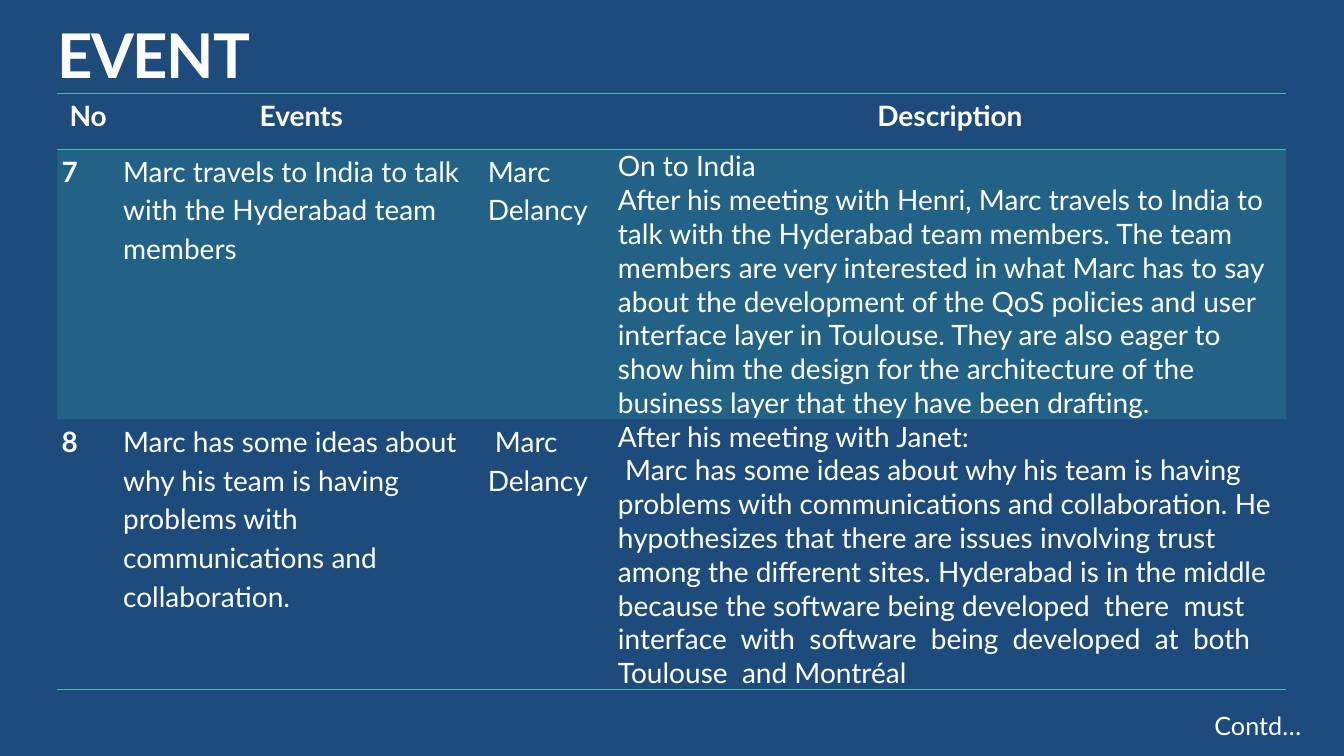
import pptx
import pptx.dml.color
import pptx.enum.text
import pptx.oxml.ns
import pptx.util
from lxml import etree

Pt = pptx.util.Pt
qn = pptx.oxml.ns.qn
ALIGN = pptx.enum.text.PP_ALIGN
ANCHOR = pptx.enum.text.MSO_ANCHOR
AUTO_SIZE = pptx.enum.text.MSO_AUTO_SIZE

COLORS = {"background": "1D4C7C", "text": "FFFFFF", "accent": "3BBEB4"}
CELL_FORMAT = {"margin_left": Pt(3), "margin_right": Pt(3), "margin_top": 0, "margin_bottom": 0}
SPACED = {"line_spacing": 1.15, "space_after": Pt(10)}
COMPACT = {"line_spacing": 1.0, "space_after": Pt(0)}

COLUMN_WIDTHS = [44, 260.5, 93, 480.25]
ROW_HEIGHTS = [39.6, 193, 193]
ROW_RULES = ["TB", "T", "B"]
EVENTS = [
    [["No"], ["Events"], [], ["Description"]],
    [
        ["7"],
        ["Marc travels to India to talk with the Hyderabad team members"],
        ["Marc Delancy"],
        [
            "On to India",
            "After his meeting with Henri, Marc travels to India to talk with the Hyderabad team "
            "members. The team members are very interested in what Marc has to say about the "
            "development of the QoS policies and user interface layer in Toulouse. They are also "
            "eager to show him the design for the architecture of the business layer that they "
            "have been drafting.",
        ],
    ],
    [
        ["8"],
        ["Marc has some ideas about why his team is having problems with communications "
         "and collaboration."],
        [" Marc Delancy"],
        [
            "After his meeting with Janet:",
            " Marc has some ideas about why his team is having problems with communications and "
            "collaboration. He hypothesizes that there are issues involving trust among the "
            "different sites. Hyderabad is in the middle because the software being developed  "
            "there  must  interface  with  software  being  developed  at  both  Toulouse  and "
            "Montréal",
        ],
    ],
]


def apply_format(target, values):
    for name, value in values.items():
        setattr(target, name, value)


def color(name):
    return pptx.dml.color.RGBColor.from_string(COLORS[name])


class SlideBuilder:
    """Holds the font and the slide being filled."""

    font_name = "Lato"

    def __init__(self, presentation):
        self.slide = presentation.slides.add_slide(presentation.slide_layouts[5])
        fill = self.slide.background.fill
        fill.solid()
        fill.fore_color.rgb = color("background")

    def add_text(self, text_frame, texts, size, bold=False, **paragraph_format):
        for index, text in enumerate(texts):
            paragraph = text_frame.paragraphs[0] if index == 0 else text_frame.add_paragraph()
            apply_format(paragraph, paragraph_format)
            run = paragraph.add_run()
            run.text = text
            apply_format(run.font, {"name": self.font_name, "size": Pt(size), "bold": bold})
            run.font.color.rgb = color("text")

    def title(self, text, left, top, width, height):
        shape = self.slide.shapes.title
        apply_format(shape, {"left": Pt(left), "top": Pt(top),
                             "width": Pt(width), "height": Pt(height)})
        frame = shape.text_frame
        apply_format(frame, {"margin_left": 0, "margin_right": 0, "margin_top": 0,
                             "margin_bottom": 0, "vertical_anchor": ANCHOR.TOP,
                             "auto_size": AUTO_SIZE.NONE})
        self.add_text(frame, [text], 44, True, alignment=ALIGN.LEFT, line_spacing=0.9)
        frame.paragraphs[0].runs[0]._r.get_or_add_rPr().set("spc", "-100")

    def label(self, text, left, top, width, height):
        shape = self.slide.shapes.add_textbox(Pt(left), Pt(top), Pt(width), Pt(height))
        apply_format(shape.text_frame,
                     {"word_wrap": False, "auto_size": AUTO_SIZE.SHAPE_TO_FIT_TEXT})
        self.add_text(shape.text_frame, [text], 18)

    def borders(self, cell, ruled_sides):
        """Draw an accent rule on the given sides (T, B) and clear the others."""
        properties = cell._tc.get_or_add_tcPr()
        for side in "LRTB":
            line = etree.SubElement(properties, qn(f"a:ln{side}"))
            if side in ruled_sides:
                line.set("w", str(Pt(1)))
                fill = etree.SubElement(line, qn("a:solidFill"))
                etree.SubElement(fill, qn("a:srgbClr"), val=COLORS["accent"])
            else:
                etree.SubElement(line, qn("a:noFill"))

    def shade(self, cell, tinted):
        if not tinted:
            cell.fill.background()
            return
        cell.fill.solid()
        cell.fill.fore_color.rgb = color("accent")
        tint = cell._tc.get_or_add_tcPr().find(qn("a:solidFill"))[0]
        etree.SubElement(tint, qn("a:alpha"), val="20000")

    def table(self, rows, left, top):
        frame = self.slide.shapes.add_table(
            len(rows), len(COLUMN_WIDTHS), Pt(left), Pt(top),
            Pt(sum(COLUMN_WIDTHS)), Pt(sum(ROW_HEIGHTS)))
        table = frame.table
        apply_format(table, {"first_row": False, "horz_banding": False})
        for column, width in zip(table.columns, COLUMN_WIDTHS):
            column.width = Pt(width)
        for row, height in zip(table.rows, ROW_HEIGHTS):
            row.height = Pt(height)
        for row_index, row in enumerate(rows):
            header = row_index == 0
            for column_index, texts in enumerate(row):
                cell = table.cell(row_index, column_index)
                apply_format(cell, CELL_FORMAT)
                spacing = COMPACT if len(texts) > 1 else SPACED
                self.add_text(cell.text_frame, texts, 20, header or column_index == 0,
                              alignment=ALIGN.CENTER if header else ALIGN.LEFT, **spacing)
                self.borders(cell, ROW_RULES[row_index])
                self.shade(cell, row_index == 1)


def main():
    presentation = pptx.Presentation()
    apply_format(presentation, {"slide_width": Pt(960), "slide_height": Pt(540)})
    builder = SlideBuilder(presentation)
    builder.title("EVENT", 41, 18, 877.75, 48.25)
    builder.table(EVENTS, 41, 67)
    builder.label("Contd…", 860.4, 504, 76.3, 28.8)
    presentation.save("out.pptx")


if __name__ == "__main__":
    main()
